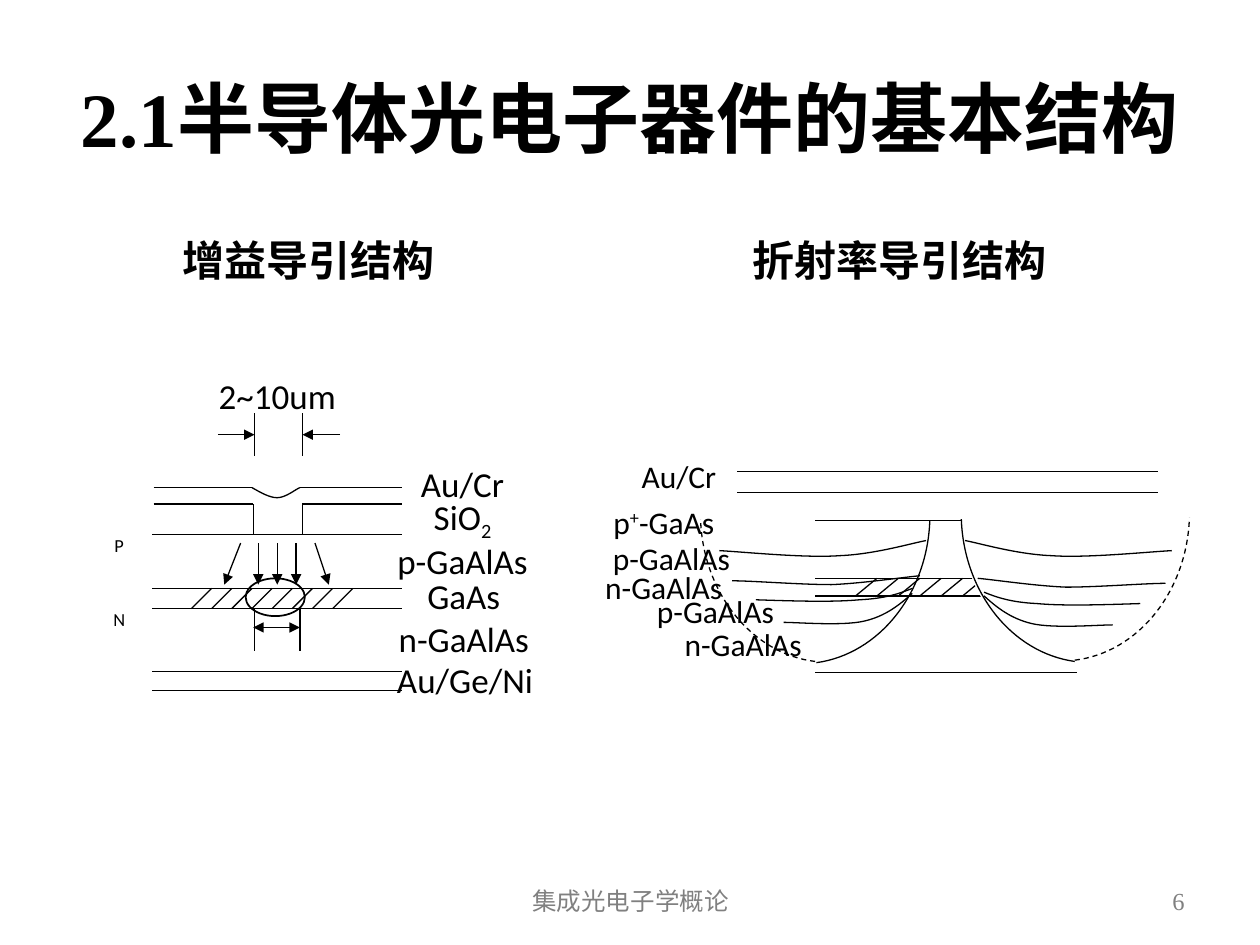
from pptx import Presentation
from pptx.dml.color import RGBColor
from pptx.enum import dml, shapes, text
from pptx.oxml.ns import qn
from pptx.util import Emu, Pt
from lxml import etree

PX = 9144  # EMU per px, 100 px to the inch
COLORS = {"ink": "000000", "paper": "FFFFFF", "footer": "808080"}


def emu(*lengths):
    return [Emu(length * PX) for length in lengths]


def color(name):
    return RGBColor.from_string(COLORS[name])


def style_line(line, width=0.75):
    line.color.rgb = color("ink")
    line.width = Pt(width)


def format_text(frame, size, font="Calibri", ink="ink", bold=False,
                align=text.PP_ALIGN.CENTER):
    frame.word_wrap = True
    para = frame.paragraphs[0]
    para.alignment = align
    para.font.name = font
    para.font.size = Pt(size)
    para.font.bold = bold
    para.font.color.rgb = color(ink)


def add_text(page, box, words, size, **options):
    """Text centred vertically in a box with the usual margins."""
    frame = page.shapes.add_textbox(*emu(*box)).text_frame
    frame.text = words
    frame.vertical_anchor = text.MSO_ANCHOR.MIDDLE
    format_text(frame, size, **options)


class Diagram:
    """Draws on a page, in px from the corner of the given box."""

    def __init__(self, page, box):
        self.shapes = page.shapes
        self.left, self.top = box[:2]

    def place(self, x, y):
        return emu(self.left + x, self.top + y)

    def line(self, x1, y1, x2, y2, head=False, tail=False):
        link = self.shapes.add_connector(
            shapes.MSO_CONNECTOR.STRAIGHT, *self.place(x1, y1), *self.place(x2, y2))
        style_line(link.line)
        properties = link._element.spPr
        outline = properties.find(qn("a:ln"))
        for wanted, tag in ((head, "a:headEnd"), (tail, "a:tailEnd")):
            if wanted:
                etree.SubElement(outline, qn(tag), type="triangle")
        etree.SubElement(properties, qn("a:effectLst"))

    def hatch(self, start, step, count, bottom, top):
        for x in range(start, start + step * count, step):
            self.line(x, bottom, x + step, top)

    def curve(self, points, dashed=False):
        """A chain of cubic curves: a start, then three points for each."""
        builder = self.shapes.build_freeform(*self.place(*points[0]))
        builder.add_line_segments([self.place(*end) for end in points[3::3]], close=False)
        outline = builder.convert_to_shape()
        outline.shadow.inherit = False
        outline.fill.background()
        style_line(outline.line)
        if dashed:
            outline.line.dash_style = dml.MSO_LINE.DASH
        # Turn each straight segment into a cubic one
        segments = list(outline._element.iter(qn("a:lnTo")))
        for i, segment in enumerate(segments):
            cubic = etree.Element(qn("a:cubicBezTo"))
            for point in points[3 * i + 1:3 * i + 4]:
                x, y = self.place(*point)
                etree.SubElement(cubic, qn("a:pt"), x=str(x - outline.left),
                                 y=str(y - outline.top))
            segment.getparent().replace(segment, cubic)

    def mirrored_curves(self, points, axis_sum, drop, dashed=False):
        self.curve(points, dashed)
        self.curve([(axis_sum - x, y + drop) for x, y in points], dashed)

    def ellipse(self, x, y, width, height):
        oval = self.shapes.add_shape(
            shapes.MSO_SHAPE.OVAL, *self.place(x, y), *emu(width, height))
        oval.shadow.inherit = False
        return oval

    def label(self, x, y, width, height, words, size, shifted="", rest="", baseline=0):
        frame = self.shapes.add_textbox(
            *self.place(x, y), *emu(width, height)).text_frame
        frame.margin_left = frame.margin_right = 0
        frame.margin_top = frame.margin_bottom = 0
        for part in (" " + words, shifted, rest):
            if part:
                span = frame.paragraphs[0].add_run()
                span.text = part
                if part == shifted:
                    span._r.get_or_add_rPr().set("baseline", str(baseline * 1000))
        format_text(frame, size)


def draw_gain_guide(page, box):
    art = Diagram(page, box)
    # Layer boundaries and the oxide window
    for y in (127, 170, 186, 236, 251):
        art.line(56, y, 254, y)
    for y, left, right in ((90, 135, 173), (103, 136, 175)):
        art.line(57, y, left, y)
        art.line(right, y, 254, y)
    for x in (136, 175):
        art.line(x, 103, x, 127)
    art.curve([(135, 90), (142, 94), (149, 98), (155, 98),
               (162, 98), (170, 91), (173, 90)])
    # Stripe width
    for x, outside in ((137, 108), (175, 205)):
        art.line(x, 31, x, 65)
        art.line(outside, 48, x, 48, tail=True)
    art.label(94, 0, 116, 46, "2~10um", 20)
    # Active layer and current flow
    art.hatch(87, 16, 8, 186, 170)
    for start, end in ((126, 113), (140, 140), (155, 155), (170, 170), (185, 196)):
        art.line(start, 134, end, 167, tail=True)
    spot = art.ellipse(130, 162, 47, 30)
    spot.fill.background()
    style_line(spot.line, 1)
    # Width of the light spot
    for x in (137, 173):
        art.line(x, 186, x, 220)
    art.line(136, 201, 173, 201, head=True, tail=True)
    # Names of sides and layers
    for y, words in ((127, "P"), (186, "N")):
        art.label(0, y, 56, 43, words, 10.5)
    for x, y, words in ((241, 70, "Au/Cr"), (241, 131, "p-GaAlAs"), (242, 159, "GaAs"),
                        (242, 193, "n-GaAlAs"), (243, 226, "Au/Ge/Ni")):
        art.label(x, y, 116, 46, words, 20)
    art.label(241, 96, 116, 46, "SiO", 20, shifted="2", baseline=-25)


def draw_index_guide(page, box):
    art = Diagram(page, box)
    # Mesa layers, cut off on the right by a paper-coloured ellipse
    for y in (113, 159, 173, 234):
        art.line(184, y, 392, y)
    art.hatch(216, 17, 8, 173, 159)
    cutout = art.ellipse(300, 0, 204, 227)
    cutout.fill.solid()
    cutout.fill.fore_color.rgb = color("paper")
    cutout.line.fill.background()
    # Mesa walls and the dashed outer walls
    art.mirrored_curves([(185, 226), (235, 219), (273, 171), (275, 113)], 575, -1)
    art.mirrored_curves([(184, 225), (134, 219), (95, 171), (93, 112)], 574, -1,
                        dashed=True)
    # Regrown layers on both sides
    for points, axis_sum, drop in (
        ([(261, 171), (251, 180), (240, 189), (223, 193),
          (206, 197), (170, 194), (159, 194)], 579, 2),
        ([(261, 167), (251, 171), (240, 175), (219, 176),
          (198, 178), (167, 177), (137, 176)], 579, 3),
        ([(267, 157), (255, 158), (222, 163), (197, 164),
          (172, 164), (134, 161), (118, 161)], 580, 2),
        ([(272, 129), (261, 131), (231, 140), (203, 141),
          (176, 143), (127, 138), (108, 137)], 575, 0),
    ):
        art.mirrored_curves(points, axis_sum, drop)
    # Contact metal
    for y in (74, 91):
        art.line(122, y, 456, y)
    # Names of layers
    for x, y, words in ((12, 63, "Au/Cr"), (6, 128, "p-GaAlAs"), (0, 151, "n-GaAlAs"),
                        (41, 170, "p-GaAlAs"), (63, 196, "n-GaAlAs")):
        art.label(x, y, 122, 43, words, 18)
    art.label(0, 99, 122, 43, "p", 18, shifted="+", rest="-GaAs", baseline=30)


def write_title(page, box):
    title = page.shapes.title
    title.left, title.top, title.width, title.height = emu(*box)
    title.text_frame.text = "2.1半导体光电子器件的基本结构"
    title.text_frame.vertical_anchor = text.MSO_ANCHOR.MIDDLE
    format_text(title.text_frame, 44, font="Times New Roman", bold=True)


def main():
    deck = Presentation()
    deck.slide_width, deck.slide_height = emu(1000, 750)
    page = deck.slides.add_slide(deck.slide_layouts[5])
    write_title(page, (50, 30, 900, 125))
    # Headings of the two columns
    for left, words in ((24, "增益导引结构"), (493, "折射率导引结构")):
        add_text(page, (left, 171, 442, 70), words, 24, font="Times New Roman", bold=True)
    # Footer
    add_text(page, (342, 695, 317, 40), "集成光电子学概论", 14, ink="footer")
    add_text(page, (717, 695, 233, 40), "6", 14, font="Times New Roman", ink="footer",
             align=text.PP_ALIGN.RIGHT)
    # Diagrams
    draw_index_guide(page, (463, 300, 504, 234))
    draw_gain_guide(page, (65, 297, 359, 272))
    deck.save("out.pptx")


if __name__ == "__main__":
    main()
